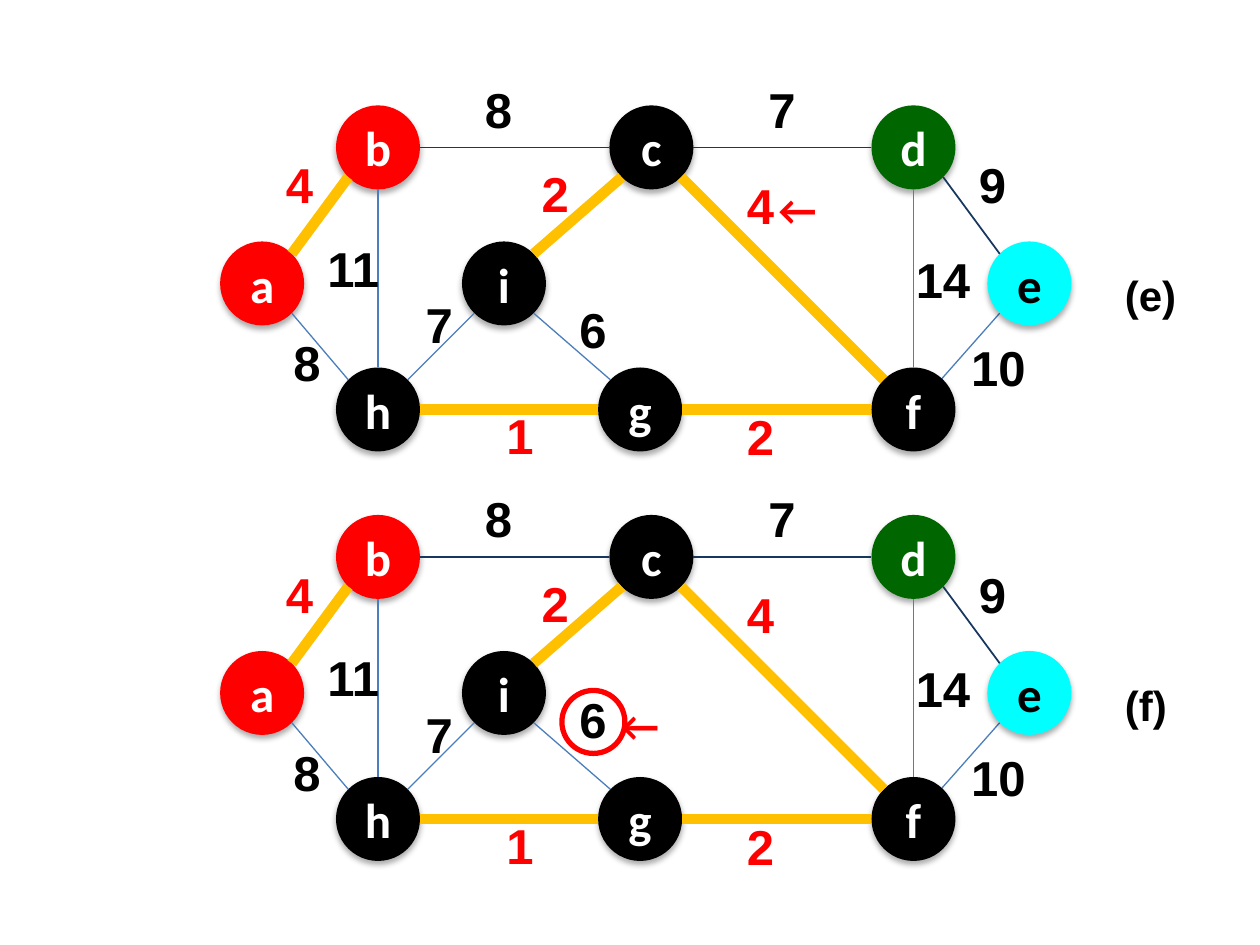
from dataclasses import dataclass
from math import copysign, sqrt

from lxml.etree import SubElement
from pptx import Presentation
from pptx.dml.color import RGBColor
from pptx.enum.shapes import MSO_CONNECTOR, MSO_SHAPE
from pptx.enum.text import MSO_ANCHOR, MSO_AUTO_SIZE, PP_ALIGN
from pptx.oxml.ns import qn
from pptx.util import Inches, Pt


@dataclass(frozen=True)
class Theme:
    """Colours, fonts and sizes of the slide."""
    red: str = "FF0000"
    black: str = "000000"
    white: str = "FFFFFF"
    green: str = "006600"
    cyan: str = "00FFFF"
    gold: str = "FFC000"
    navy: str = "17375E"
    blue: str = "4B7EBC"
    node_font: str = "Calibri"
    label_font: str = "Arial"
    large: int = 28
    medium: int = 24


THEME = Theme()
RADIUS = 1 / 3
NODES = {
    "b": (3, 1.17, THEME.red), "c": (5.17, 1.17, THEME.black),
    "d": (7.25, 1.17, THEME.green), "a": (2.08, 2.25, THEME.red),
    "i": (4, 2.25, THEME.black), "e": (8.17, 2.25, THEME.cyan),
    "h": (3, 3.25, THEME.black), "g": (5.08, 3.25, THEME.black),
    "f": (7.25, 3.25, THEME.black),
}
EDGE_STYLES = {
    "tree": (THEME.gold, 6), "outer": (THEME.navy, 1), "plain": (THEME.blue, 0.75),
}
EDGES = [
    ("ef", "plain"), ("bc", "outer"), ("cd", "outer"), ("gf", "tree"),
    ("hg", "tree"), ("df", "plain"), ("bh", "plain"), ("ba", "tree"),
    ("de", "outer"), ("ah", "plain"), ("ci", "tree"), ("ih", "plain"),
    ("ig", "plain"), ("cf", "tree"),
]
WEIGHTS = {
    "ba": ("4", 2.17, 1.18, 0.5), "bc": ("8", 3.75, 0.58, 0.5),
    "cd": ("7", 6, 0.58, 0.5), "de": ("9", 7.67, 1.18, 0.5),
    "bh": ("11", 2.5, 1.84, 0.67), "ah": ("8", 2.23, 2.59, 0.67),
    "ih": ("7", 3.28, 2.29, 0.67), "ig": ("6", 4.5, 2.33, 0.67),
    "hg": ("1", 3.92, 3.17, 0.67), "ci": ("2", 4.2, 1.25, 0.67),
    "gf": ("2", 5.83, 3.18, 0.67), "cf": ("4", 5.83, 1.34, 0.67),
    "df": ("14", 7.17, 1.93, 0.67), "ef": ("10", 7.61, 2.63, 0.67),
}
PANEL_STEP = 3.25
PANELS = [
    {"name": "(e)", "arrow": (6.08, 1.41), "moved": {}, "rejected": None},
    {"name": "(f)", "arrow": (4.83, 2.25), "moved": {"ig": 2.17}, "rejected": (4.46, 2.23)},
]


def rgb(colour):
    return RGBColor.from_string(colour)


def style_text(shape, text, font, size, colour):
    para = shape.text_frame.paragraphs[0]
    para.text = text
    face = para.runs[0].font
    face.name, face.size, face.bold = font, Pt(size), True
    face.color.rgb = rgb(colour)
    return para


def add_label(shapes, text, x, y, width, height, font, size, colour):
    box = shapes.add_textbox(*map(Inches, (x, y, width, height)))
    box.text_frame.word_wrap = True
    box.text_frame.auto_size = MSO_AUTO_SIZE.SHAPE_TO_FIT_TEXT
    style_text(box, text, font, size, colour)


def add_circle(shapes, x, y, diameter):
    circle = shapes.add_shape(MSO_SHAPE.OVAL, *map(Inches, (x, y, diameter, diameter)))
    circle.shadow.inherit = False
    return circle


def add_node(shapes, name, top):
    x, y, colour = NODES[name]
    node = add_circle(shapes, x - RADIUS, top + y - RADIUS, 2 * RADIUS)
    node.fill.solid()
    node.fill.fore_color.rgb = rgb(colour)
    node.line.fill.background()
    effects = node._element.spPr.find(qn("a:effectLst"))
    shadow = SubElement(effects, qn("a:outerShdw"), blurRad=str(Pt(3.5)),
                        dist=str(Pt(2.2)), dir="5400000", rotWithShape="0")
    tint = SubElement(shadow, qn("a:srgbClr"), val=THEME.black)
    SubElement(tint, qn("a:alpha"), val="32000")
    node.text_frame.vertical_anchor = MSO_ANCHOR.MIDDLE
    ink = THEME.black if colour == THEME.cyan else THEME.white
    para = style_text(node, name, THEME.node_font, THEME.large, ink)
    para.alignment = PP_ALIGN.CENTER


def rim_point(name, toward, reach=RADIUS):
    """Return the point on a node's rim, in steps of 45 degrees, facing another node."""
    x, y, _ = NODES[name]
    dx, dy = (other - own for other, own in zip(NODES[toward], (x, y)))
    step = reach / sqrt(2) if dx and dy else reach
    return (x + copysign(step, dx) * bool(dx), y + copysign(step, dy) * bool(dy))


def add_edge(shapes, ends, style, top):
    start, end = ends
    x1, y1 = rim_point(start, end)
    x2, y2 = rim_point(end, start, 0.11 if ends == "ef" else RADIUS)
    edge = shapes.add_connector(MSO_CONNECTOR.STRAIGHT,
                                *map(Inches, (x1, top + y1, x2, top + y2)))
    colour, width = EDGE_STYLES[style]
    edge.line.color.rgb = rgb(colour)
    edge.line.width = Pt(width)
    SubElement(edge._element.spPr, qn("a:effectLst"))


def add_panel(page, panel, top):
    graph = page.shapes.add_group_shape().shapes
    add_edge(graph, *EDGES[0], top)
    for name in NODES:
        add_node(graph, name, top)
    for ends, style in EDGES[1:]:
        add_edge(graph, ends, style, top)
    styles = dict(EDGES)
    for ends, (text, x, y, width) in WEIGHTS.items():
        colour = THEME.red if styles[ends] == "tree" else THEME.black
        add_label(graph, text, x, top + panel["moved"].get(ends, y), width, 0.57,
                  THEME.label_font, THEME.large, colour)
    x, y = panel["arrow"]
    add_label(page.shapes, "←", x, top + y, 0.58, 0.5,
              THEME.node_font, THEME.medium, THEME.red)
    add_label(page.shapes, panel["name"], 8.83, top + 2.09, 0.83, 0.5,
              THEME.label_font, THEME.medium, THEME.black)
    if panel["rejected"]:
        x, y = panel["rejected"]
        ring = add_circle(page.shapes, x, top + y, 0.5)
        ring.fill.background()
        ring.line.color.rgb = rgb(THEME.red)
        ring.line.width = Pt(3)


def main():
    deck = Presentation()
    deck.slide_width, deck.slide_height = Inches(10), Inches(7.5)
    page = deck.slides.add_slide(deck.slide_layouts[6])
    for index, panel in enumerate(PANELS):
        add_panel(page, panel, index * PANEL_STEP)
    deck.save("out.pptx")


if __name__ == "__main__":
    main()
